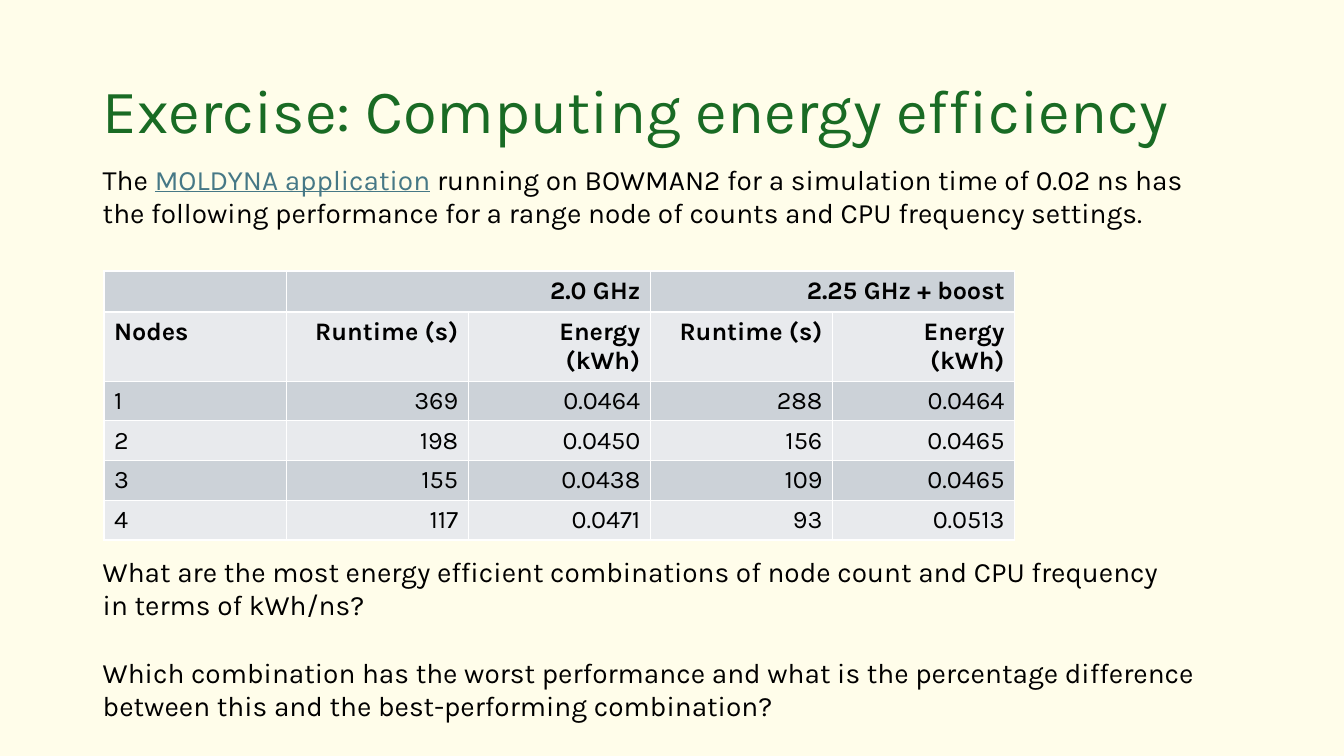
from dataclasses import dataclass
from typing import Any

from lxml import etree
from pptx import Presentation
from pptx.dml.color import RGBColor
from pptx.enum.text import MSO_ANCHOR, PP_ALIGN
from pptx.oxml.ns import qn
from pptx.util import Cm, Pt

LEFT, RIGHT = PP_ALIGN.LEFT, PP_ALIGN.RIGHT
TOP, MIDDLE = MSO_ANCHOR.TOP, MSO_ANCHOR.MIDDLE

CREAM = RGBColor(0xFF, 0xFD, 0xEA)
GREEN = RGBColor(0x19, 0x6B, 0x24)
BLACK = RGBColor(0x00, 0x00, 0x00)
LINK_BLUE = RGBColor(0x46, 0x78, 0x86)
WHITE = RGBColor(0xFF, 0xFF, 0xFF)
BANDS = (RGBColor(0xCC, 0xD2, 0xD8), RGBColor(0xE8, 0xEA, 0xED))

FONT = "Karla"
TITLE_FORMAT = {"name": FONT, "size": Pt(44)}
BODY_FORMAT = {"name": FONT, "size": Pt(20)}
CELL_FORMAT = {"name": FONT, "size": Pt(18), "bold": False}
HEADER_FORMAT = CELL_FORMAT | {"bold": True}
LINK_FORMAT = BODY_FORMAT | {"underline": True}

HEADER_ROWS = 2
COLUMN_WIDTH, ROW_HEIGHT = Cm(4.59), Cm(1)
MEASUREMENTS = [
    ["", "2.0 GHz", "", "2.25 GHz + boost", ""],
    ["Nodes"] + ["Runtime (s)", "Energy (kWh)"] * 2,
    ["1", "369", "0.0464", "288", "0.0464"],
    ["2", "198", "0.0450", "156", "0.0465"],
    ["3", "155", "0.0438", "109", "0.0465"],
    ["4", "117", "0.0471", "93", "0.0513"],
]


@dataclass(frozen=True)
class Piece:
    text: str
    format: dict[str, Any]
    color: RGBColor = BLACK


@dataclass(frozen=True)
class TextBlock:
    left: float
    top: float
    width: float
    height: float
    paragraphs: list[list[Piece]]
    anchor: MSO_ANCHOR = TOP
    line_spacing: float = 1.0
    gap: float = 0


TEXT_BLOCKS = [
    TextBlock(2.34, 1.02, 29.21, 3.68,
              [[Piece("Exercise: Computing energy efficiency", TITLE_FORMAT, GREEN)]],
              anchor=MIDDLE, line_spacing=0.9),
    TextBlock(2.34, 3.96, 28.35, 1.96, [[
        Piece("The\u00a0", BODY_FORMAT),
        Piece("MOLDYNA application", LINK_FORMAT, LINK_BLUE),
        Piece("\u00a0running on BOWMAN2 for a simulation time of 0.02 ns has the following "
              "performance for a range node of counts and CPU frequency settings.", BODY_FORMAT),
    ]]),
    TextBlock(2.34, 13.84, 29.59, 4.52, [
        [Piece("What are the most energy efficient combinations of node count and "
               "CPU frequency\nin terms of kWh/ns?", BODY_FORMAT)],
        [Piece("Which combination has the worst performance and what is the percentage "
               "difference between this and the best-performing combination?", BODY_FORMAT)],
    ], gap=24),
]


def add_piece(paragraph, piece: Piece) -> None:
    for index, line in enumerate(piece.text.split("\n")):
        if index:
            paragraph.add_line_break()
        run = paragraph.add_run()
        run.text = line
        for attribute, value in piece.format.items():
            setattr(run.font, attribute, value)
        run.font.color.rgb = piece.color


def add_text_block(slide, block: TextBlock) -> None:
    box = slide.shapes.add_textbox(
        Cm(block.left), Cm(block.top), Cm(block.width), Cm(block.height))
    frame = box.text_frame
    frame.word_wrap = True
    frame.vertical_anchor = block.anchor
    for index, pieces in enumerate(block.paragraphs):
        paragraph = frame.add_paragraph() if index else frame.paragraphs[0]
        paragraph.line_spacing = block.line_spacing
        paragraph.space_before = Pt(block.gap if index else 0)
        for piece in pieces:
            add_piece(paragraph, piece)


def add_borders(cell, color: RGBColor) -> None:
    properties = cell._tc.get_or_add_tcPr()
    for position, side in enumerate(("lnL", "lnR", "lnT", "lnB")):
        line = etree.Element(qn(f"a:{side}"), w=str(Pt(1)))
        fill = etree.SubElement(line, qn("a:solidFill"))
        etree.SubElement(fill, qn("a:srgbClr"), val=str(color))
        properties.insert(position, line)


def add_measurement_table(slide) -> None:
    row_count, column_count = len(MEASUREMENTS), len(MEASUREMENTS[0])
    table = slide.shapes.add_table(
        row_count, column_count, Cm(2.62), Cm(6.83),
        COLUMN_WIDTH * column_count, ROW_HEIGHT * row_count).table
    for column in table.columns:
        column.width = COLUMN_WIDTH
    for row_index, values in enumerate(MEASUREMENTS):
        table.rows[row_index].height = ROW_HEIGHT
        cell_format = HEADER_FORMAT if row_index < HEADER_ROWS else CELL_FORMAT
        for column_index, value in enumerate(values):
            cell = table.cell(row_index, column_index)
            cell.fill.solid()
            cell.fill.fore_color.rgb = BANDS[row_index % 2]
            add_borders(cell, WHITE)
            paragraph = cell.text_frame.paragraphs[0]
            paragraph.alignment = RIGHT if column_index else LEFT
            if value:
                add_piece(paragraph, Piece(value, cell_format))
    # Each frequency heading spans its runtime and energy columns
    for first in range(1, column_count, 2):
        table.cell(0, first).merge(table.cell(0, first + 1))


def main() -> None:
    presentation = Presentation()
    presentation.slide_width, presentation.slide_height = Cm(33.87), Cm(19.05)
    slide = presentation.slides.add_slide(presentation.slide_layouts[6])

    # Background
    slide.background.fill.solid()
    slide.background.fill.fore_color.rgb = CREAM

    # Table, title and questions
    add_measurement_table(slide)
    for block in TEXT_BLOCKS:
        add_text_block(slide, block)

    presentation.save("out.pptx")


if __name__ == "__main__":
    main()
